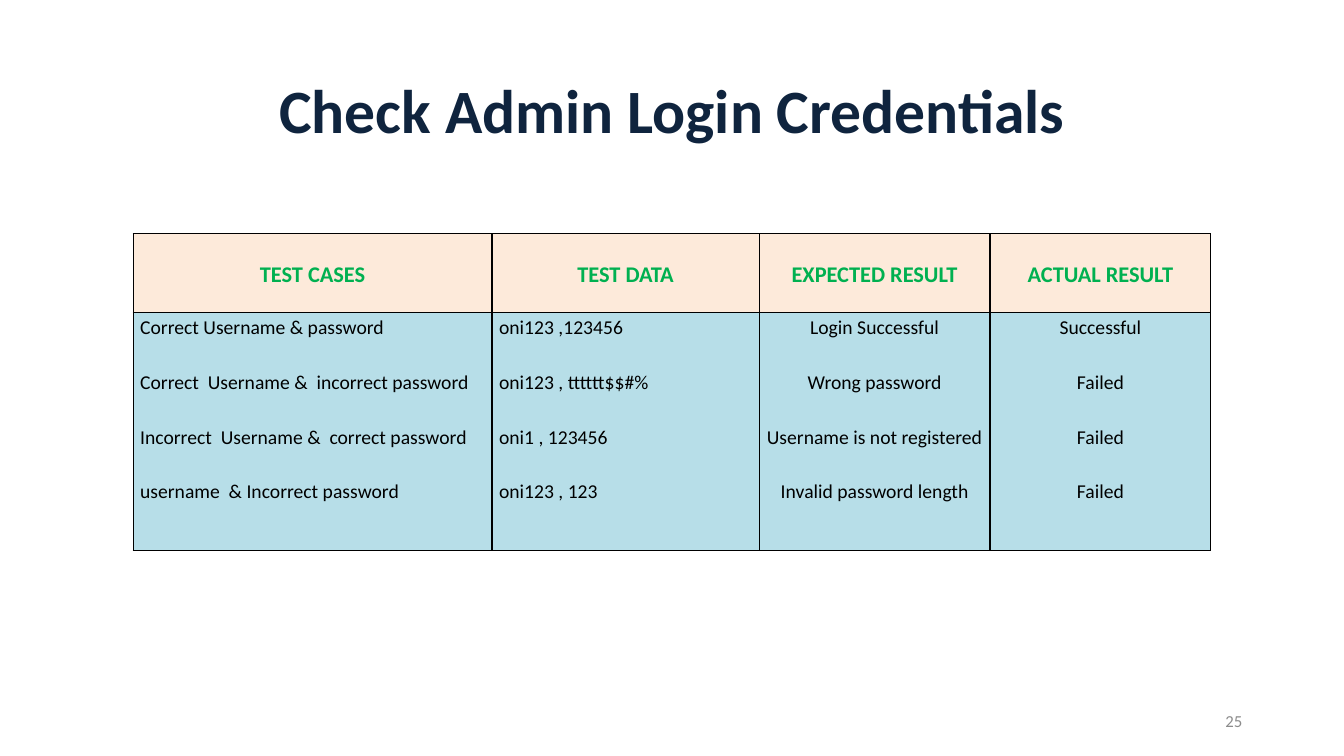
from lxml.etree import SubElement
from pptx import Presentation
from pptx.dml.color import RGBColor
from pptx.enum.text import MSO_ANCHOR, PP_ALIGN
from pptx.oxml.ns import qn
from pptx.util import Pt

EMU_PER_PX = 9144
FONT = "Calibri"
NAVY = RGBColor(0x0F, 0x24, 0x3E)
GREY = RGBColor(0x8C, 0x8C, 0x8C)
GREEN = RGBColor(0x00, 0xB0, 0x50)
BLACK = RGBColor(0x00, 0x00, 0x00)
PEACH = RGBColor(0xFD, 0xEA, 0xDA)
AQUA = RGBColor(0xB7, 0xDE, 0xE8)

COLUMNS = [
    ("TEST CASES", 356, PP_ALIGN.LEFT, [
        "Correct Username & password",
        "Correct  Username &  incorrect password",
        "Incorrect  Username &  correct password",
        "username  & Incorrect password",
    ]),
    ("TEST DATA", 265, PP_ALIGN.LEFT, [
        "oni123 ,123456",
        "oni123 , tttttt$$#%",
        "oni1 , 123456",
        "oni123 , 123",
    ]),
    ("EXPECTED RESULT", 229, PP_ALIGN.CENTER, [
        "Login Successful",
        "Wrong password",
        "Username is not registered",
        "Invalid password length",
    ]),
    ("ACTUAL RESULT", 219, PP_ALIGN.CENTER, [
        "Successful", "Failed", "Failed", "Failed",
    ]),
]
ROW_HEIGHTS = [78, 236]


def px(length):
    return length * EMU_PER_PX


def write(frame, lines, size, color, align, bold=False, spacing=1.0, gap=0):
    frame.text = "\n".join(lines)
    for index, para in enumerate(frame.paragraphs):
        para.alignment = align
        para.line_spacing = spacing
        para.space_before = Pt(gap if index else 0)
        para.font.name = FONT
        para.font.size = Pt(size)
        para.font.bold = bold
        para.font.color.rgb = color


def add_title(page, text):
    title = page.shapes.title
    title.left, title.top, title.width, title.height = map(px, (92, 40, 1150, 145))
    title.text_frame.vertical_anchor = MSO_ANCHOR.MIDDLE
    write(title.text_frame, [text], 44, NAVY, PP_ALIGN.CENTER, bold=True, spacing=0.9)


def add_page_number(page, text):
    box = page.shapes.add_textbox(*map(px, (942, 695, 300, 40)))
    box.text_frame.word_wrap = True
    box.text_frame.vertical_anchor = MSO_ANCHOR.MIDDLE
    write(box.text_frame, [text], 12, GREY, PP_ALIGN.RIGHT)


def add_borders(cell):
    properties = cell._tc.get_or_add_tcPr()
    for side in ("a:lnL", "a:lnR", "a:lnT", "a:lnB"):
        line = SubElement(properties, qn(side), w=str(Pt(1)))
        fill = SubElement(line, qn("a:solidFill"))
        SubElement(fill, qn("a:srgbClr"), val=str(BLACK))


def format_cell(cell, fill, anchor):
    add_borders(cell)
    cell.fill.solid()
    cell.fill.fore_color.rgb = fill
    cell.vertical_anchor = anchor
    cell.margin_left = cell.margin_right = px(7)
    cell.margin_top = cell.margin_bottom = 0


def add_test_table(page):
    width = sum(column[1] for column in COLUMNS)
    frame = page.shapes.add_table(
        len(ROW_HEIGHTS), len(COLUMNS),
        *map(px, (132, 232, width, sum(ROW_HEIGHTS))))
    table = frame.table
    table.first_row = table.horz_banding = False
    for row, height in zip(table.rows, ROW_HEIGHTS):
        row.height = px(height)
    for index, (heading, column_width, align, lines) in enumerate(COLUMNS):
        table.columns[index].width = px(column_width)
        header, body = table.cell(0, index), table.cell(1, index)
        format_cell(header, PEACH, MSO_ANCHOR.MIDDLE)
        write(header.text_frame, [heading], 16, GREEN, PP_ALIGN.CENTER,
              bold=True, spacing=1.15)
        format_cell(body, AQUA, MSO_ANCHOR.TOP)
        write(body.text_frame, lines, 14, BLACK, align, spacing=1.15, gap=19.5)


def main():
    deck = Presentation()
    deck.slide_width, deck.slide_height = px(1333), px(750)
    page = deck.slides.add_slide(deck.slide_layouts[5])
    add_title(page, "Check Admin Login Credentials")
    add_page_number(page, "25")
    add_test_table(page)
    deck.save("out.pptx")


if __name__ == "__main__":
    main()
